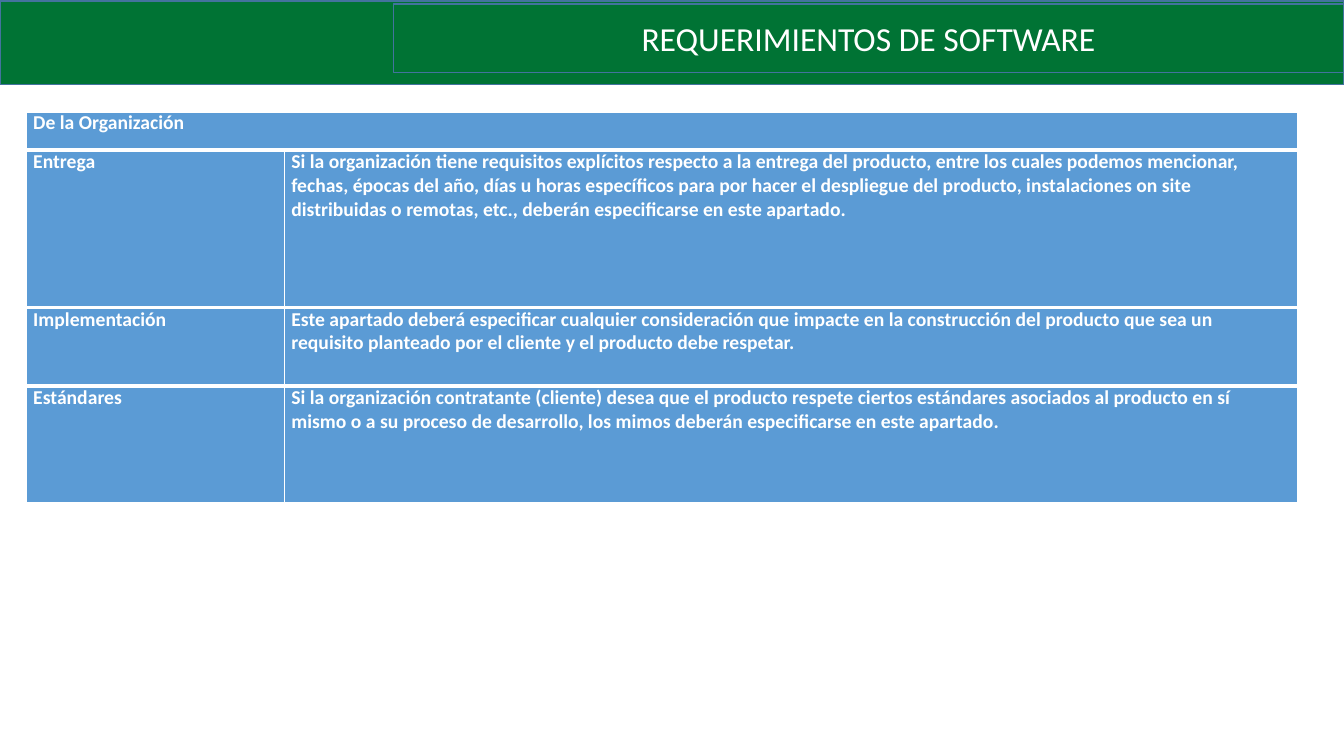
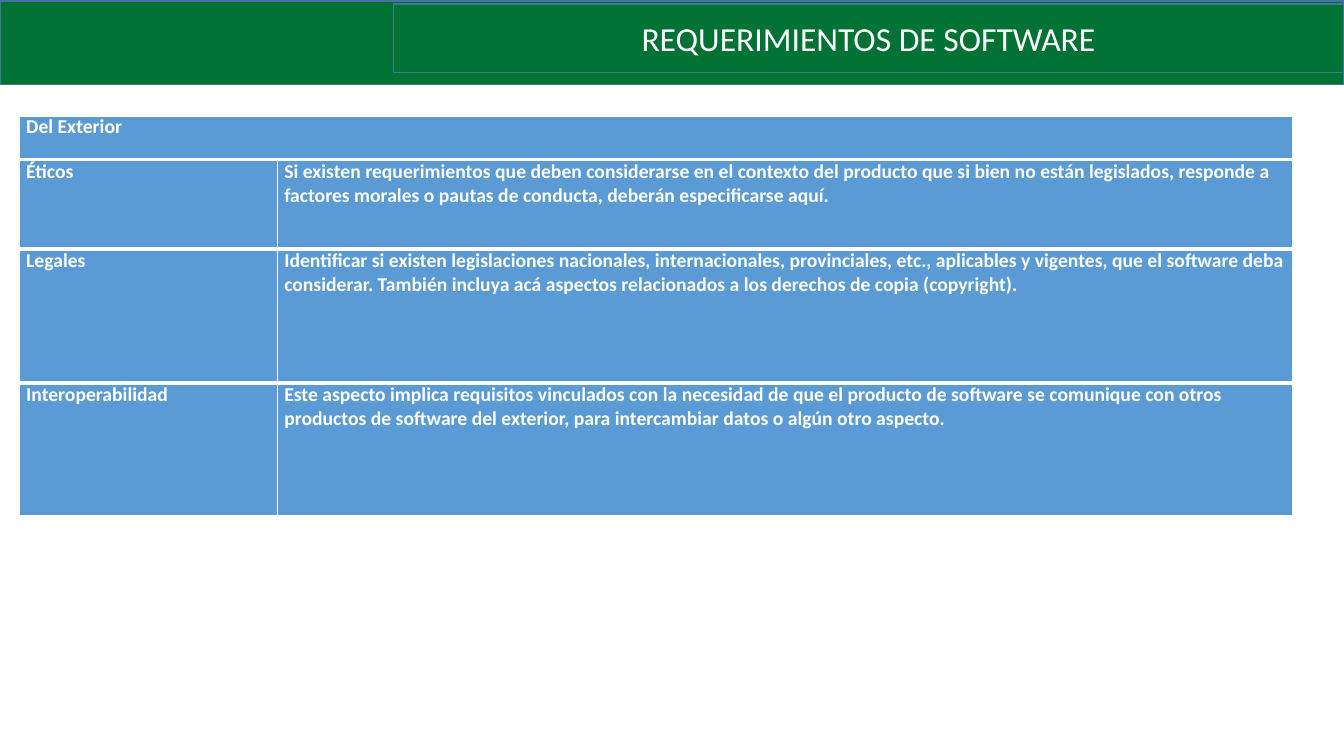
from lxml.etree import SubElement
from pptx import Presentation
from pptx.dml.color import RGBColor
from pptx.enum.shapes import MSO_SHAPE
from pptx.enum.text import MSO_ANCHOR, MSO_AUTO_SIZE, PP_ALIGN
from pptx.oxml.ns import qn
from pptx.util import Inches, Pt

GREEN = RGBColor(0x00, 0x73, 0x34)
EDGE = RGBColor(0x43, 0x73, 0x9E)
BLUE = RGBColor(0x5B, 0x9B, 0xD5)
WHITE = RGBColor(0xFF, 0xFF, 0xFF)
FONT = "Calibri"
WIDE, HIGH = 13.33, 7.5
LABEL = 2.56
TITLE = "REQUERIMIENTOS DE SOFTWARE"
BORDERS = {"a:lnL": 1, "a:lnR": 1, "a:lnT": 3, "a:lnB": 3}

# Each row: its height in units, then its cell texts.
FIRM = [
    (1, ["De la Organización"]),
    (4, ["Entrega",
         "Si la organización tiene requisitos explícitos respecto a la entrega del "
         "producto, entre los cuales podemos mencionar, fechas, épocas del año, días u "
         "horas específicos para por hacer el despliegue del producto, instalaciones on "
         "site distribuidas o remotas, etc., deberán especificarse en este apartado."]),
    (2, ["Implementación",
         "Este apartado deberá especificar cualquier consideración que impacte en la "
         "construcción del producto que sea un requisito planteado por el cliente y el "
         "producto debe respetar."]),
    (3, ["Estándares",
         "Si la organización contratante (cliente) desea que el producto respete ciertos "
         "estándares asociados al producto en sí mismo o a su proceso de desarrollo, los "
         "mimos deberán especificarse en este apartado."]),
]
OUTER = [
    (1, ["Del Exterior"]),
    (2, ["Éticos",
         "Si existen requerimientos que deben considerarse en el contexto del producto "
         "que si bien no están legislados, responde a factores morales o pautas de "
         "conducta, deberán especificarse aquí."]),
    (3, ["Legales",
         "Identificar si existen legislaciones nacionales, internacionales, provinciales, "
         "etc., aplicables y vigentes, que el software deba considerar. También incluya "
         "acá aspectos relacionados a los derechos de copia (copyright)."]),
    (3, ["Interoperabilidad",
         "Este aspecto implica requisitos vinculados con la necesidad de que el producto "
         "de software se comunique con otros productos de software del exterior, para "
         "intercambiar datos o algún otro aspecto."]),
]


def paint(shape):
    """Give a shape the green fill and thin blue edge."""
    shape.fill.solid()
    shape.fill.fore_color.rgb = GREEN
    shape.line.color.rgb = EDGE
    shape.line.width = Pt(1)


def style(para, size, bold):
    """Set the white font of a paragraph."""
    font = para.font
    font.name, font.size, font.bold = FONT, Pt(size), bold
    font.color.rgb = WHITE


def add_band(slide):
    """Draw the top band and move it to the layout all slides share."""
    band = slide.shapes.add_shape(
        MSO_SHAPE.RECTANGLE, 0, Inches(0.01), Inches(WIDE), Inches(0.83))
    band.shadow.inherit = False
    paint(band)
    slide.slide_layout.shapes.element.insert(2, band.element)


def set_title(slide):
    """Place and format the title at the right of the band."""
    title = slide.shapes.title
    title.left, title.top = Inches(3.9), Inches(0.04)
    title.width, title.height = Inches(WIDE - 3.9), Inches(0.68)
    paint(title)
    frame = title.text_frame
    frame.text = TITLE
    frame.auto_size = MSO_AUTO_SIZE.NONE
    frame.vertical_anchor = MSO_ANCHOR.MIDDLE
    para = frame.paragraphs[0]
    para.alignment = PP_ALIGN.CENTER
    style(para, 24, False)


def fill_cell(cell, text):
    """Write a blue cell with white borders."""
    cell.text = text
    cell.margin_left = cell.margin_right = Inches(0.07)
    cell.margin_top = cell.margin_bottom = 0
    props = cell._tc.get_or_add_tcPr()
    for tag, width in BORDERS.items():
        line = SubElement(props, qn(tag), w=str(Pt(width)))
        solid = SubElement(line, qn("a:solidFill"))
        SubElement(solid, qn("a:srgbClr"), val=str(WHITE))
    cell.fill.solid()
    cell.fill.fore_color.rgb = BLUE
    style(cell.text_frame.paragraphs[0], 14, True)


def add_strip(slide, left, top, width, height, texts):
    """Add a one-row table, with a label column if it has two texts."""
    table = slide.shapes.add_table(
        1, len(texts), Inches(left), Inches(top), Inches(width), Inches(height)).table
    table.first_row = table.horz_banding = False
    if len(texts) == 2:
        table.columns[0].width = Inches(LABEL)
        table.columns[1].width = Inches(width - LABEL)
    for cell, text in zip(table.rows[0].cells, texts):
        fill_cell(cell, text)


def add_stack(slide, left, top, width, unit, rows):
    """Stack the strips with heights in whole units."""
    for count, texts in rows:
        add_strip(slide, left, top, width, count * unit, texts)
        top += count * unit


def main():
    """Build and save the slides."""
    deck = Presentation()
    deck.slide_width, deck.slide_height = Inches(WIDE), Inches(HIGH)
    stacks = [(0.26, 1.1, 12.61, 0.39, FIRM), (0.19, 1.14, 12.63, 1.33 / 3, OUTER)]
    for stack in stacks:
        slide = deck.slides.add_slide(deck.slide_layouts[5])
        set_title(slide)
        add_stack(slide, *stack)
    add_band(slide)
    deck.save("out.pptx")


if __name__ == "__main__":
    main()
